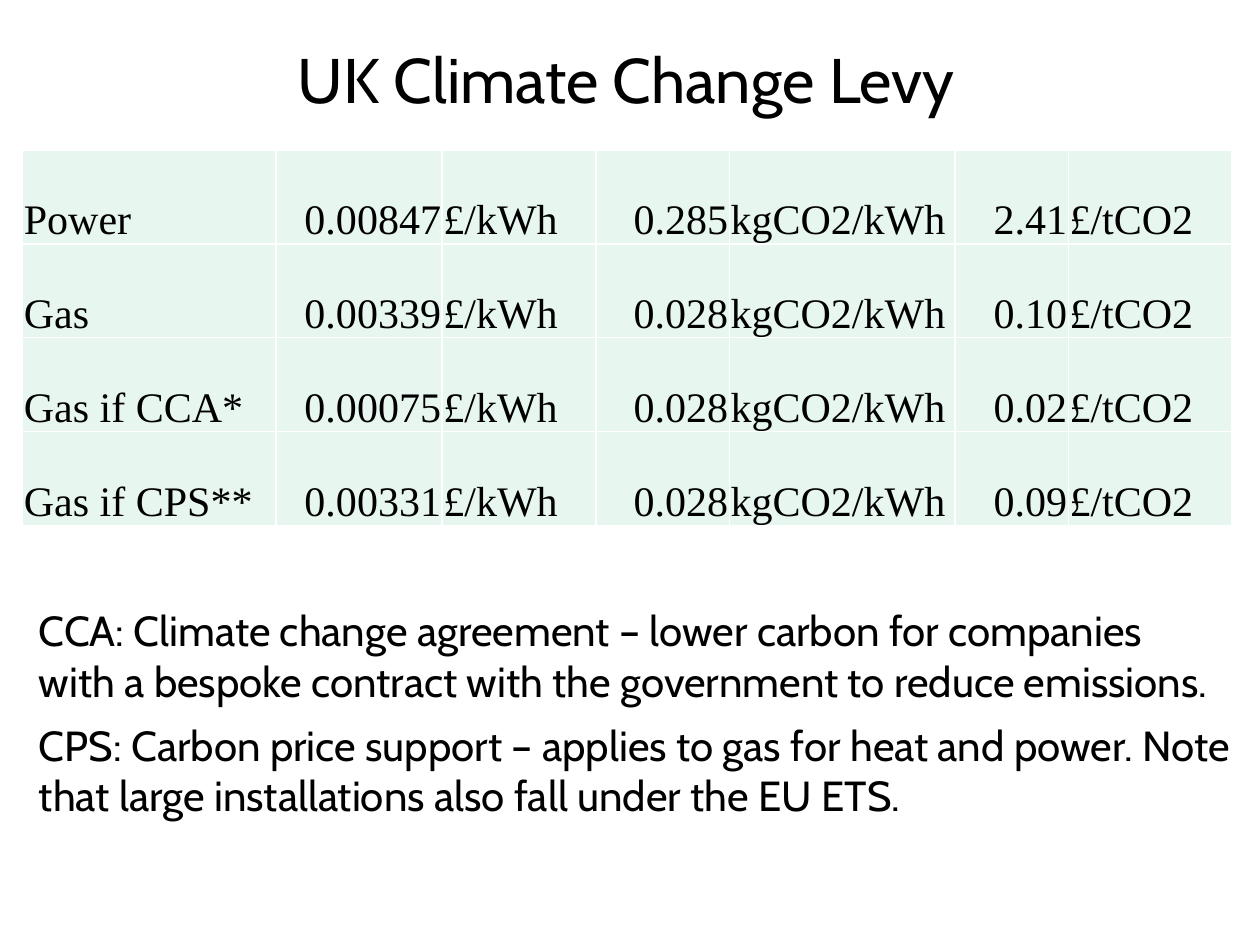
from lxml.etree import fromstring
from pptx import Presentation
from pptx.dml.color import RGBColor
from pptx.enum.text import MSO_ANCHOR as Anchor, PP_ALIGN as Align
from pptx.util import Inches, Pt

BLACK = RGBColor(0, 0, 0)
MINT = RGBColor(0xE7, 0xF6, 0xEF)
WHITE = RGBColor(255, 255, 255)
NS = "http://schemas.openxmlformats.org/drawingml/2006/main"


def write(frame, text, size=24, font="Cabin", align=Align.LEFT, anchor=Anchor.TOP):
    frame.vertical_anchor = anchor
    frame.text = text
    for para in frame.paragraphs:
        para.alignment = align
        for run in para.runs:
            run.font.size = Pt(size)
            run.font.name = font
            run.font.color.rgb = BLACK


def edge(cell):
    props = cell._tc.get_or_add_tcPr()
    for pos, side in enumerate(("lnL", "lnR", "lnT", "lnB")):
        line = fromstring(
            f'<a:{side} xmlns:a="{NS}" w="{Pt(1)}"><a:solidFill>'
            f'<a:srgbClr val="{WHITE}"/></a:solidFill></a:{side}>'
        )
        props.insert(pos, line)


deck = Presentation()
deck.slide_width, deck.slide_height = Inches(10), Inches(7.5)
slide = deck.slides.add_slide(deck.slide_layouts[6])

title = slide.shapes.add_textbox(Inches(0.72), Inches(0), Inches(8.5), Inches(1.25))
title.text_frame.word_wrap = True
write(title.text_frame, "UK Climate Change Levy", size=36, align=Align.CENTER, anchor=Anchor.MIDDLE)

levies = [
    ("Power", "0.00847", "0.285", "2.41"),
    ("Gas", "0.00339", "0.028", "0.10"),
    ("Gas if CCA*", "0.00075", "0.028", "0.02"),
    ("Gas if CPS**", "0.00331", "0.028", "0.09"),
]
widths = [2.01, 1.32, 1.22, 1.06, 1.79, 0.9, 1.3]
holder = slide.shapes.add_table(
    len(levies), len(widths), Inches(0.18), Inches(1.19), Inches(9.6), Inches(2.98)
)
table = holder.table
table.first_row = table.horz_banding = False
for col, width in zip(table.columns, widths):
    col.width = Inches(width)

for row, (fuel, rate, carbon, price) in enumerate(levies):
    table.rows[row].height = Inches(2.98 / len(levies))
    values = [fuel, rate, "£/kWh", carbon, "kgCO2/kWh", price, "£/tCO2"]
    for col, value in enumerate(values):
        cell = table.cell(row, col)
        cell.fill.solid()
        cell.fill.fore_color.rgb = MINT
        cell.margin_left = cell.margin_right = cell.margin_top = Inches(0.01)
        cell.margin_bottom = 0
        cell.vertical_anchor = Anchor.BOTTOM
        align = Align.RIGHT if col % 2 else Align.LEFT
        write(cell.text_frame, value, font="Times New Roman", align=align, anchor=Anchor.BOTTOM)
        edge(cell)

notes = [
    (4.75, 9.71, "CCA: Climate change agreement – lower carbon for companies\n"
     "with a bespoke contract with the government to reduce emissions."),
    (5.66, 9.85, "CPS: Carbon price support – applies to gas for heat and power. Note\n"
     "that large installations also fall under the EU ETS."),
]
for top, width, text in notes:
    box = slide.shapes.add_textbox(Inches(0.21), Inches(top), Inches(width), Inches(0.91))
    box.text_frame.word_wrap = False
    write(box.text_frame, text)

deck.save("out.pptx")
